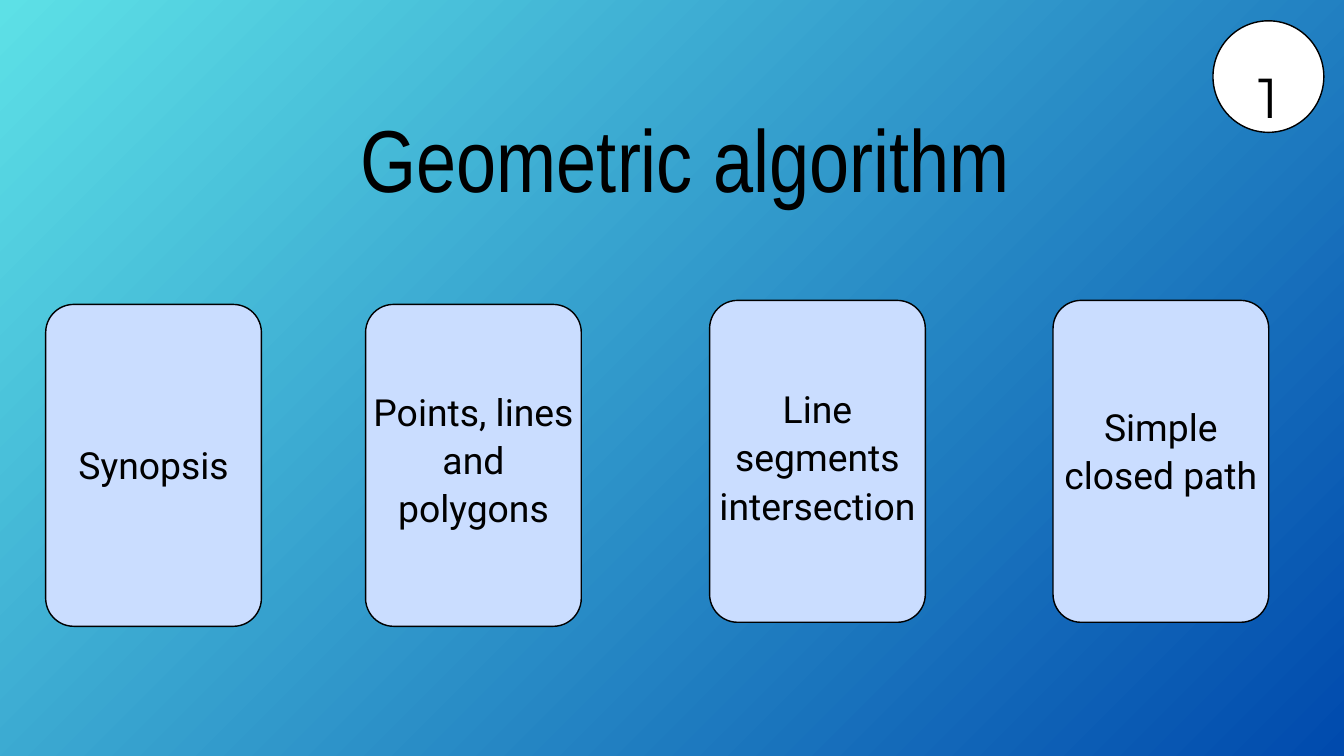
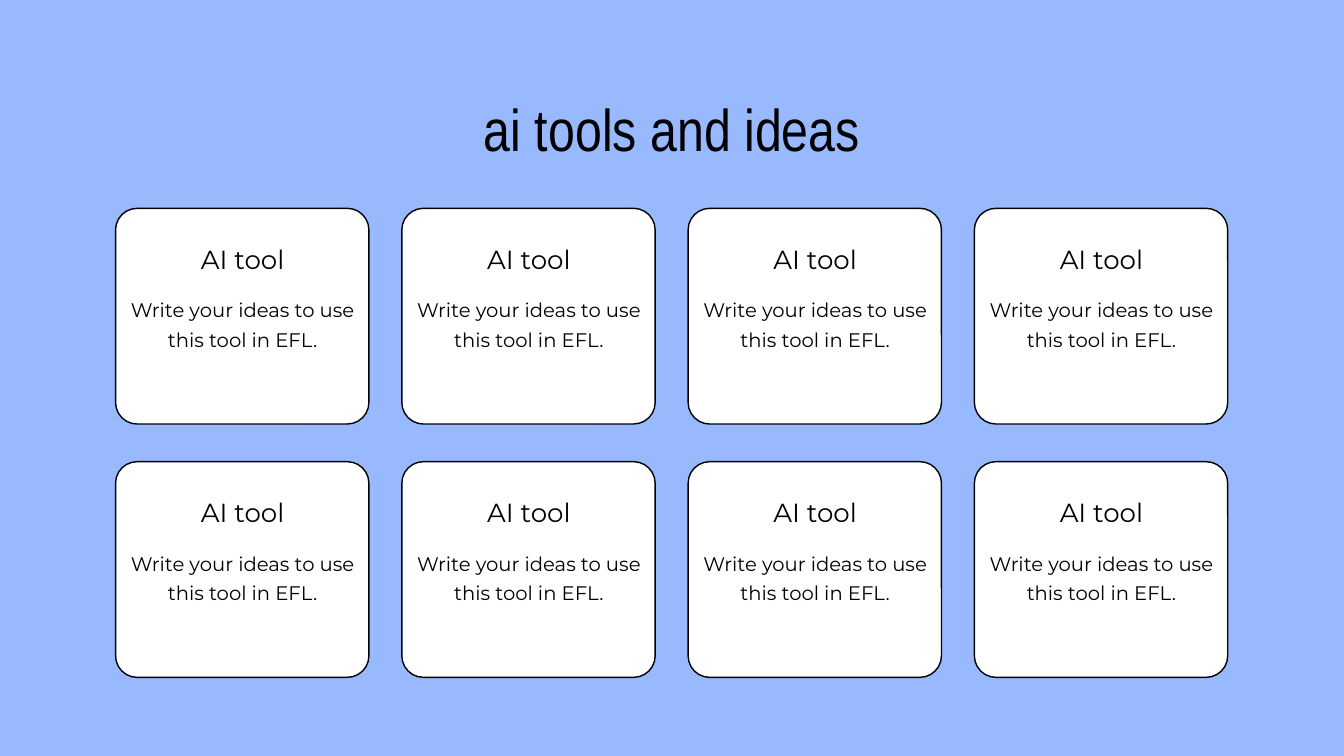
from itertools import product
from lxml.etree import SubElement
from pptx import Presentation
from pptx.dml.color import RGBColor as Rgb
from pptx.enum.shapes import MSO_SHAPE as Kind
from pptx.enum.text import MSO_AUTO_SIZE as Fit, PP_ALIGN as Align
from pptx.oxml.ns import qn
from pptx.util import Inches, Pt

COLORS = {"ink": "000000", "white": "FFFFFF", "pale": "CADDFF",
          "sky": "99B9FF", "aqua": "5DE0E6", "navy": "004AAD"}
HEAD, BODY, CARD = "Arial Narrow", "Montserrat", "Roboto"


class Deck:
    def __init__(self):
        self.prs = Presentation()
        self.prs.slide_width = Inches(20)
        self.prs.slide_height = Inches(11.25)
        self.slide = None

    def color(self, name):
        return Rgb.from_string(COLORS[name])

    def page(self, *tones):
        self.slide = self.prs.slides.add_slide(self.prs.slide_layouts[6])
        fill = self.slide.background.fill
        if len(tones) == 1:
            fill.solid()
            fill.fore_color.rgb = self.color(tones[0])
            return
        fill.gradient()
        for stop, tone in zip(fill.gradient_stops, tones):
            stop.color.rgb = self.color(tone)
        grad = next(self.slide.element.iter(qn("a:gradFill")))
        grad.remove(grad.find(qn("a:lin")))
        ring = SubElement(grad, qn("a:path"), {"path": "circle"})
        SubElement(ring, qn("a:fillToRect"), {"r": "100000", "b": "100000"})

    def shape(self, kind, x, y, w, h, tone, curve=None):
        item = self.slide.shapes.add_shape(
            kind, Inches(x), Inches(y), Inches(w), Inches(h))
        item.shadow.inherit = False
        item.fill.solid()
        item.fill.fore_color.rgb = self.color(tone)
        item.line.color.rgb = self.color("ink")
        item.line.width = Pt(1.5)
        if curve is not None:
            item.adjustments[0] = curve

    def text(self, words, x, y, w, h, size, lead, face):
        box = self.slide.shapes.add_textbox(
            Inches(x), Inches(y), Inches(w), Inches(h))
        frame = box.text_frame
        frame.word_wrap = True
        frame.auto_size = Fit.SHAPE_TO_FIT_TEXT
        frame.margin_left = frame.margin_right = 0
        frame.margin_top = frame.margin_bottom = 0
        para = frame.paragraphs[0]
        para.text = words
        para.alignment = Align.CENTER
        para.line_spacing = Pt(lead)
        para.font.size = Pt(size)
        para.font.name = face
        para.font.color.rgb = self.color("ink")

    def title(self, words, x, y, w, h, size, lead):
        self.text(words, x, y, w, h, size, lead, HEAD)

    def topic(self, words, x, y, top, high, size=40):
        self.shape(Kind.ROUNDED_RECTANGLE, x, y, 3.21, 4.79, "pale", 0.13)
        self.text(words, x, top, 3.21, high, size, 51.9, CARD)

    def badge(self, mark):
        self.shape(Kind.OVAL, 18.05, 0.31, 1.65, 1.66, "white")
        self.text(mark, 18.64, 0.26, 0.48, 1.38, 60.2, 120.4, BODY)

    def tool(self, name, idea, x, y):
        self.shape(Kind.ROUNDED_RECTANGLE, x, y, 3.77, 3.21, "white", 0.1)
        self.text(name, x + 0.22, y + 0.48, 3.34, 0.49, 28, 36.4, BODY)
        self.text(idea, x + 0.22, y + 1.25, 3.34, 0.85, 21, 31.5, BODY)


def main():
    deck = Deck()

    deck.page("aqua", "navy")
    deck.title("Geometric algorithm", 2.87, 1.8, 14.65, 1.42, 94.2, 95.1)
    deck.topic("Synopsis", 0.68, 4.53, 6.53, 0.7)
    deck.topic("Points, lines and polygons", 5.44, 4.53, 5.73, 2.14)
    deck.topic("Line segments intersection", 10.56, 4.47, 5.69, 2.14)
    deck.topic("Simple closed path", 15.67, 4.47, 5.96, 1.42, 39.9)
    deck.badge("1")

    deck.page("sky")
    for row, col in product(range(2), range(4)):
        deck.tool("AI tool", "Write your ideas to use this tool in EFL.",
                  1.72 + 4.26 * col, 3.1 + 3.77 * row)
    deck.title("ai tools and ideas", 5.09, 1.55, 9.82, 0.95, 63.1, 63.8)

    deck.prs.save("out.pptx")


if __name__ == "__main__":
    main()
